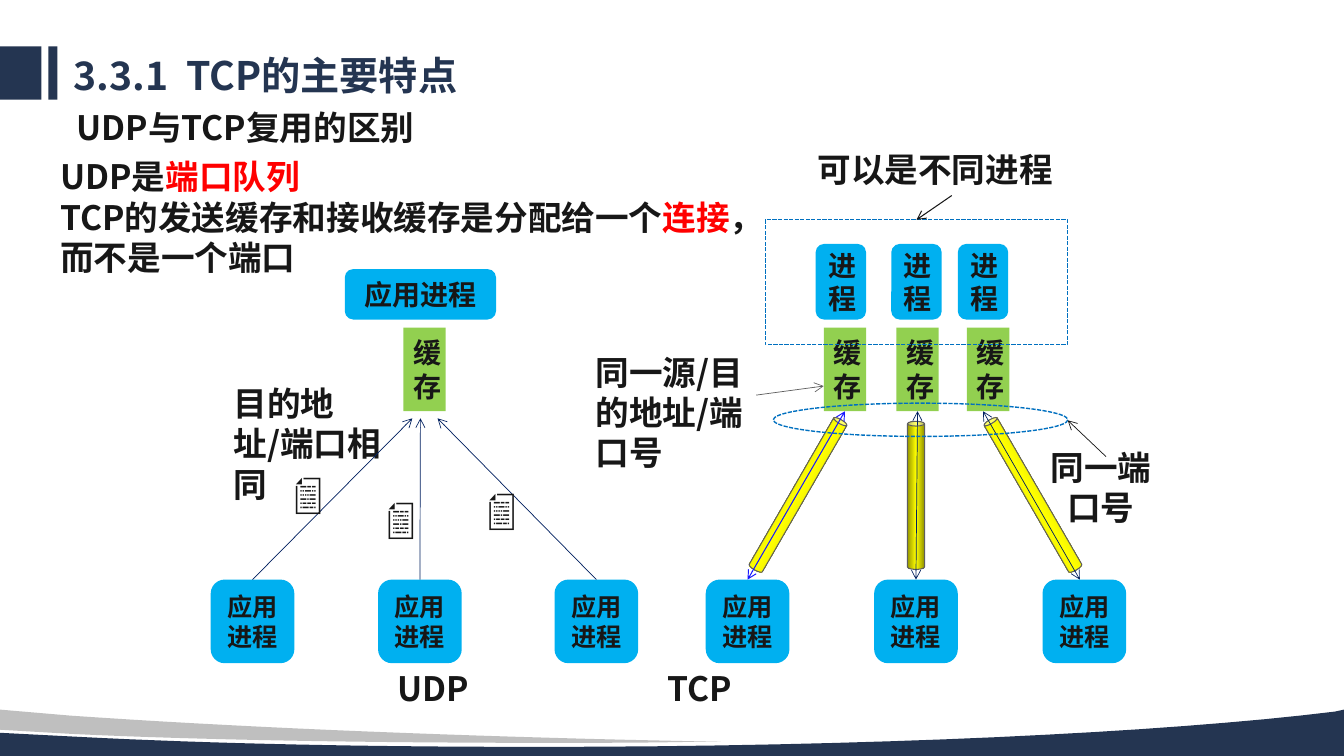
from dataclasses import dataclass

from lxml import etree
from pptx import Presentation
from pptx import util as u
from pptx.dml.color import RGBColor
from pptx.enum import dml, shapes, text
from pptx.oxml.ns import qn

PX = 9144  # EMU in one px, 100 px to the inch


@dataclass(frozen=True)
class Theme:
    navy: str = "243551"
    silver: str = "BFBFBF"
    ink: str = "171717"
    red: str = "FF0000"
    process: str = "00B0F0"
    buffer: str = "92D050"
    dash: str = "0070C0"
    udp_arrow: str = "002060"
    tcp_arrow: str = "1818FF"
    gray: str = "5E5E5E"
    pipe_edge: str = "939300"
    pipe_core: str = "FFFF00"
    sans: str = "Noto Sans CJK SC"
    sans_alt: str = "Noto Sans CJK JP"
    icon_font: str = "Lato"
    title: int = 28
    body: int = 24
    node: int = 20
    small: int = 18


T = Theme()
Kind = shapes.MSO_SHAPE


@dataclass(frozen=True)
class Box:
    left: int
    top: int
    width: int
    height: int

    def sub(self, x, y, width, height):
        return Box(self.left + x, self.top + y, width, height)

    def point(self, x, y):
        return self.left + x, self.top + y

    def emu(self):
        return [v * PX for v in (self.left, self.top, self.width, self.height)]


def rgb(color):
    return RGBColor.from_string(color)


def add_run(paragraph, words, size, font, color):
    run = paragraph.add_run()
    run.text = words
    run.font.size, run.font.bold = u.Pt(size), True
    run.font.color.rgb = rgb(color)
    run.font.name = font
    etree.SubElement(run.font._element, qn("a:ea")).set("typeface", font)


def label(slide, box, *paragraphs, size=T.body, font=T.sans, inset=(10, 5), wrap=True,
          anchor=text.MSO_ANCHOR.TOP, align=text.PP_ALIGN.LEFT):
    """Each paragraph is a list of (words, colour) runs."""
    frame = slide.shapes.add_textbox(*box.emu()).text_frame
    frame.word_wrap, frame.vertical_anchor = wrap, anchor
    frame.margin_left = frame.margin_right = inset[0] * PX
    frame.margin_top = frame.margin_bottom = inset[1] * PX
    for i, runs in enumerate(paragraphs):
        paragraph = frame.add_paragraph() if i else frame.paragraphs[0]
        paragraph.alignment = align
        for words, color in runs:
            add_run(paragraph, words, size, font, color)
    return frame


def solid(slide, kind, box, color):
    shape = slide.shapes.add_shape(kind, *box.emu())
    shape.shadow.inherit = False
    shape.fill.solid()
    shape.fill.fore_color.rgb = rgb(color)
    shape.line.fill.background()
    return shape


def node(slide, kind, box, words, color, size=T.node):
    shape = solid(slide, kind, box, color)
    frame = shape.text_frame
    frame.word_wrap, frame.vertical_anchor = True, text.MSO_ANCHOR.MIDDLE
    frame.paragraphs[0].alignment = text.PP_ALIGN.CENTER
    add_run(frame.paragraphs[0], words, size, T.sans_alt, T.ink)
    return shape


def app_process(slide, box):
    return node(slide, Kind.ROUNDED_RECTANGLE, box, "应用进程", T.process, T.small)


def buffer(slide, box):
    return node(slide, Kind.RECTANGLE, box, "缓存", T.buffer)


def dashed(slide, kind, box):
    shape = solid(slide, kind, box, T.dash)
    shape.fill.background()
    shape.line.color.rgb = rgb(T.dash)
    shape.line.width = u.Pt(1)
    shape.line.dash_style = dml.MSO_LINE.SQUARE_DOT
    return shape


def arrow(slide, start, end, color, width=0.5, both=False):
    line = slide.shapes.add_connector(
        shapes.MSO_CONNECTOR.STRAIGHT, *[v * PX for v in start + end])
    line.line.color.rgb = rgb(color)
    line.line.width = u.Pt(width)
    for tip in ("a:headEnd", "a:tailEnd") if both else ("a:tailEnd",):
        etree.SubElement(line.line._ln, qn(tip)).set("type", "arrow")
    etree.SubElement(line._element.spPr, qn("a:effectLst"))
    return line


def pipe(slide, box, angle):
    """A connection drawn as a shaded tube."""
    tube = solid(slide, Kind.CAN, box, T.pipe_core)
    tube.adjustments[0] = 0.28
    tube.rotation = angle
    tube.line.color.rgb = rgb(T.gray)
    tube.line.width = u.Pt(0.75)
    tube.fill.gradient()
    tube.fill.gradient_angle = 0
    stops = tube._element.spPr.find(qn("a:gradFill")).find(qn("a:gsLst"))
    for stop in list(stops):
        stops.remove(stop)
    for percent, color in ((0, T.pipe_edge), (50, T.pipe_core), (100, T.pipe_edge)):
        stop = etree.SubElement(stops, qn("a:gs"), pos=str(percent * 1000))
        etree.SubElement(stop, qn("a:srgbClr"), val=color)


def curve(p0, p1, p2, p3, steps=16):
    """Points of a cubic Bezier after its start."""
    for i in range(1, steps + 1):
        t = i / steps
        s = 1 - t
        yield tuple(s**3 * a + 3 * s * s * t * b + 3 * s * t * t * c + t**3 * d
                    for a, b, c, d in zip(p0, p1, p2, p3))


def wave(slide, box, points, color):
    path = [(x * PX, y * PX) for x, y in (box.point(*p) for p in points)]
    builder = slide.shapes.build_freeform(*path[0], scale=1.0)
    builder.add_line_segments(path[1:], close=True)
    shape = builder.convert_to_shape()
    shape.shadow.inherit = False
    shape.fill.solid()
    shape.fill.fore_color.rgb = rgb(color)
    shape.line.fill.background()


def footer_waves(slide, box):
    wave(slide, box, [(1333, 0), (1333, 46), (0, 46), (0, 23), (77, 27),
                      *curve((77, 27), (212, 34), (367, 37), (532, 37)),
                      *curve((532, 37), (862, 37), (1153, 23), (1324, 2))], T.navy)
    wave(slide, box, [(0, 0), (70, 6), *curve((70, 6), (229, 17), (417, 25), (622, 30)),
                      (715, 32), (684, 32),
                      *curve((684, 32), (640, 33), (594, 33), (548, 33)),
                      *curve((548, 33), (361, 33), (192, 30), (69, 24)), (0, 20)], T.silver)


def heading(slide, box):
    for x, width in ((0, 41), (48, 9)):
        solid(slide, Kind.RECTANGLE, box.sub(x, 0, width, 53), T.navy)
    frame = label(slide, box.sub(63, 5, 998, 52), [("3.3.1\tTCP的主要特点", T.navy)],
                  size=T.title, anchor=text.MSO_ANCHOR.MIDDLE)
    title = frame.paragraphs[0]
    title.line_spacing = 0.9
    tabs = etree.SubElement(title._p.get_or_add_pPr(), qn("a:tabLst"))
    etree.SubElement(tabs, qn("a:tab"), pos=str(112 * PX), algn="l")
    label(slide, box.sub(63, 57, 583, 47), [("UDP与TCP复用的区别", T.ink)],
          font=T.sans_alt, inset=(13, 7), anchor=text.MSO_ANCHOR.MIDDLE)


def summary(slide, box):
    label(slide, box, [("UDP是", T.ink), ("端口队列", T.red)],
          [("TCP的发送缓存和接收缓存是分配给一个", T.ink), ("连接", T.red),
           ("，而不是一个端口", T.ink)], font=T.sans_alt)


def udp_diagram(slide, box):
    node(slide, Kind.ROUNDED_RECTANGLE, box.sub(133, 0, 150, 50), "应用进程", T.process)
    buffer(slide, box.sub(191, 58, 42, 83))
    label(slide, box.sub(13, 108, 185, 91), [("目的地址/端口相同", T.ink)])
    for x, tip in ((0, 200), (166, 208), (341, 225)):
        sender = app_process(slide, box.sub(x, 308, 83, 83))
        line = arrow(slide, box.point(x + 41, 308), box.point(tip, 148), T.udp_arrow)
        line.begin_connect(sender, 0)
    for x, y in ((83, 200), (175, 225), (275, 216)):
        label(slide, box.sub(x, y, 33, 42), [("📄", T.ink)], size=T.title,
              font=T.icon_font, inset=(0, 0), wrap=False, anchor=text.MSO_ANCHOR.MIDDLE)
    label(slide, box.sub(175, 391, 120, 50), [("UDP", T.ink)])


def tcp_diagram(slide, box):
    for x in (228, 303, 369):
        node(slide, Kind.ROUNDED_RECTANGLE, box.sub(x, 99, 50, 75), "进程", T.process)
    buffers = [buffer(slide, box.sub(x, 182, 42, 83)) for x in (236, 308, 378)]
    peers = [app_process(slide, box.sub(119 + 167 * i, 432, 83, 83)) for i in range(3)]
    links = (((203, 262, 15, 172), 30, (161, 431), (257, 267), T.tcp_arrow, 0.75),
             ((319, 275, 17, 147), 0, (328, 431), (328, 264), T.udp_arrow, 0.5),
             ((436, 262, 15, 172), -30, (490, 432), (394, 265), T.udp_arrow, 0.5))
    lines = []
    for tube, angle, start, end, color, width in links:
        pipe(slide, box.sub(*tube), angle)
        lines.append(arrow(slide, box.point(*start), box.point(*end), color, width, both=True))
    for line, peer, cache in list(zip(lines, peers, buffers))[:2]:
        line.begin_connect(peer, 0)
        line.end_connect(cache, 2)

    frame = dashed(slide, Kind.RECTANGLE, box.sub(178, 75, 300, 124))
    dashed(slide, Kind.OVAL, box.sub(186, 257, 292, 33))
    label(slide, box.sub(220, 0, 286, 50), [("可以是不同进程", T.ink)])
    label(slide, box.sub(0, 201, 183, 131), [("同一源/目的地址/端口号", T.ink)])
    label(slide, box.sub(436, 295, 150, 91), [("同一端口号", T.ink)],
          align=text.PP_ALIGN.CENTER)
    arrow(slide, box.point(169, 249), box.point(236, 240), T.gray)
    arrow(slide, box.point(516, 310), box.point(478, 274), T.ink)
    arrow(slide, box.point(363, 51), box.point(328, 75), T.ink, 0.75).end_connect(frame, 0)
    label(slide, box.sub(71, 515, 120, 50), [("TCP", T.ink)])


def main():
    deck = Presentation()
    deck.slide_width, deck.slide_height = 1333 * PX, 750 * PX
    slide = deck.slides.add_slide(deck.slide_layouts[6])
    footer_waves(slide, Box(0, 704, 1333, 46))
    heading(slide, Box(0, 46, 1061, 104))
    udp_diagram(slide, Box(209, 267, 424, 441))
    tcp_diagram(slide, Box(581, 143, 586, 565))
    summary(slide, Box(50, 150, 692, 131))
    deck.save("out.pptx")


if __name__ == "__main__":
    main()
